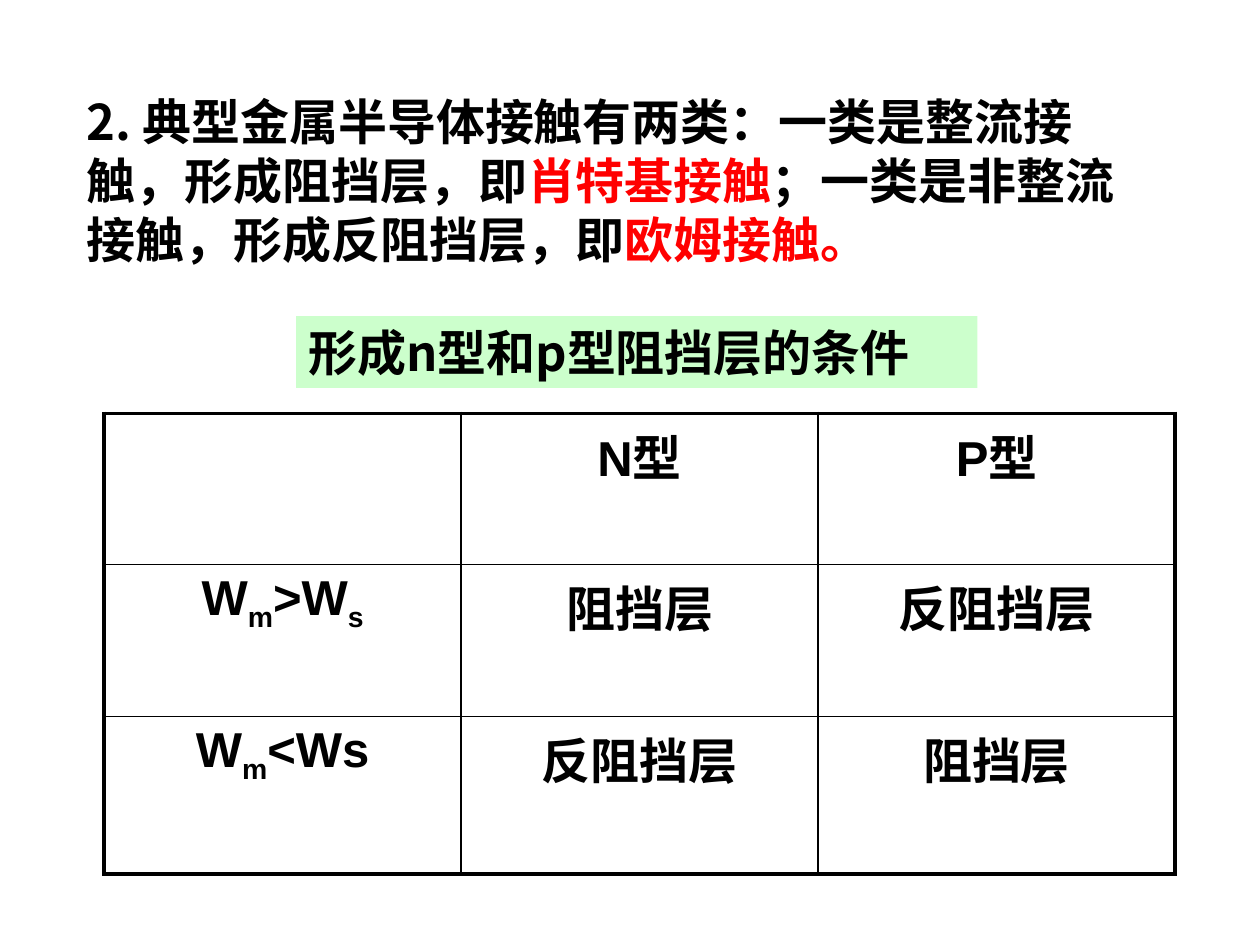
import lxml.etree
import pptx
import pptx.dml.color
import pptx.enum.shapes
import pptx.enum.text
import pptx.oxml.ns
import pptx.util

Pt = pptx.util.Pt
COLORS = {"text": "000000", "accent": "FF0000", "banner": "CCFFCC"}
CJK_FONT = "Noto Sans CJK SC"
LINE_HEIGHT = 33.7
OUTER_LINE, INNER_LINE = 2.25, 1
ROWS = [
    [[], [("N型", {})], [("P型", {})]],
    [
        [("W", {}), ("m", {"baseline": -25}), (">W", {}), ("s", {"baseline": -25})],
        [("阻挡层", {})],
        [("反阻挡层", {})],
    ],
    [
        [("W", {}), ("m", {"baseline": -25}), ("<Ws", {})],
        [("反阻挡层", {})],
        [("阻挡层", {})],
    ],
]


def rgb(name):
    """Return the named palette colour."""
    return pptx.dml.color.RGBColor.from_string(COLORS[name])


def add_text(paragraph, text, size=28, color="text", font=CJK_FONT, baseline=0):
    """Append a bold run with the given format."""
    run = paragraph.add_run()
    run.text = text
    run.font.size = Pt(size)
    run.font.bold = True
    run.font.color.rgb = rgb(color)
    run.font.name = font
    properties = run.font._element
    east_asian = lxml.etree.SubElement(properties, pptx.oxml.ns.qn("a:ea"))
    east_asian.set("typeface", CJK_FONT)
    if baseline:
        properties.set("baseline", str(baseline * 1000))


def add_statement(slide, left, top, width, height):
    """Place the paragraph on the two kinds of contact."""
    shape = slide.shapes.add_textbox(Pt(left), Pt(top), Pt(width), Pt(height))
    shape.text_frame.word_wrap = True
    paragraph = shape.text_frame.paragraphs[0]
    paragraph.line_spacing = Pt(LINE_HEIGHT)
    paragraph._p.get_or_add_pPr().set("hangingPunct", "0")
    add_text(paragraph, "2. 典型金属半导体接触有两类：一类是整流接触，形成阻挡层，即")
    add_text(paragraph, "肖特基接触", color="accent")
    add_text(paragraph, "；一类是非整流接触，形成反阻挡层，即")
    add_text(paragraph, "欧姆接触。", color="accent")


def add_banner(slide, left, top, width, height):
    """Place the table's heading on its filled band."""
    shape = slide.shapes.add_shape(
        pptx.enum.shapes.MSO_SHAPE.RECTANGLE, Pt(left), Pt(top), Pt(width), Pt(height)
    )
    shape.shadow.inherit = False
    shape.fill.solid()
    shape.fill.fore_color.rgb = rgb("banner")
    shape.line.fill.background()
    shape.text_frame.word_wrap = False
    shape.text_frame.vertical_anchor = pptx.enum.text.MSO_ANCHOR.TOP
    paragraph = shape.text_frame.paragraphs[0]
    paragraph.alignment = pptx.enum.text.PP_ALIGN.LEFT
    paragraph.line_spacing = Pt(LINE_HEIGHT)
    add_text(paragraph, "形成n型和p型阻挡层的条件")
    add_text(paragraph, " ", size=20)


def set_borders(cell, widths):
    """Draw the cell's left, right, top and bottom borders."""
    properties = cell._tc.get_or_add_tcPr()
    for index, (side, width) in enumerate(zip("LRTB", widths)):
        line = lxml.etree.Element(pptx.oxml.ns.qn(f"a:ln{side}"), w=str(Pt(width)))
        fill = lxml.etree.SubElement(line, pptx.oxml.ns.qn("a:solidFill"))
        color = lxml.etree.SubElement(fill, pptx.oxml.ns.qn("a:srgbClr"))
        color.set("val", COLORS["text"])
        properties.insert(index, line)


def add_conditions(slide, left, top, width, row_heights):
    """Place the table of barrier layer conditions."""
    last_row, last_column = len(ROWS) - 1, len(ROWS[0]) - 1
    table = slide.shapes.add_table(
        len(ROWS), len(ROWS[0]), Pt(left), Pt(top), Pt(width), Pt(sum(row_heights))
    ).table
    for row, height in zip(table.rows, row_heights):
        row.height = Pt(height)
    for row_index, row in enumerate(ROWS):
        for column_index, runs in enumerate(row):
            cell = table.cell(row_index, column_index)
            cell.fill.background()
            edges = [
                column_index == 0,
                column_index == last_column,
                row_index == 0,
                row_index == last_row,
            ]
            set_borders(cell, [OUTER_LINE if edge else INNER_LINE for edge in edges])
            paragraph = cell.text_frame.paragraphs[0]
            paragraph.alignment = pptx.enum.text.PP_ALIGN.CENTER
            paragraph.space_before = Pt(7)
            for text, text_format in runs:
                add_text(paragraph, text, font="Arial", **text_format)


def main():
    """Build the slide and save it."""
    presentation = pptx.Presentation()
    presentation.slide_width, presentation.slide_height = Pt(720), Pt(540)
    slide = presentation.slides.add_slide(presentation.slide_layouts[6])
    add_statement(slide, 42.5, 48.5, 618, 108)
    add_conditions(slide, 59.5, 236.2, 612, [86.4, 86.9, 90])
    add_banner(slide, 169.2, 180.7, 389.3, 41)
    presentation.save("out.pptx")


if __name__ == "__main__":
    main()
